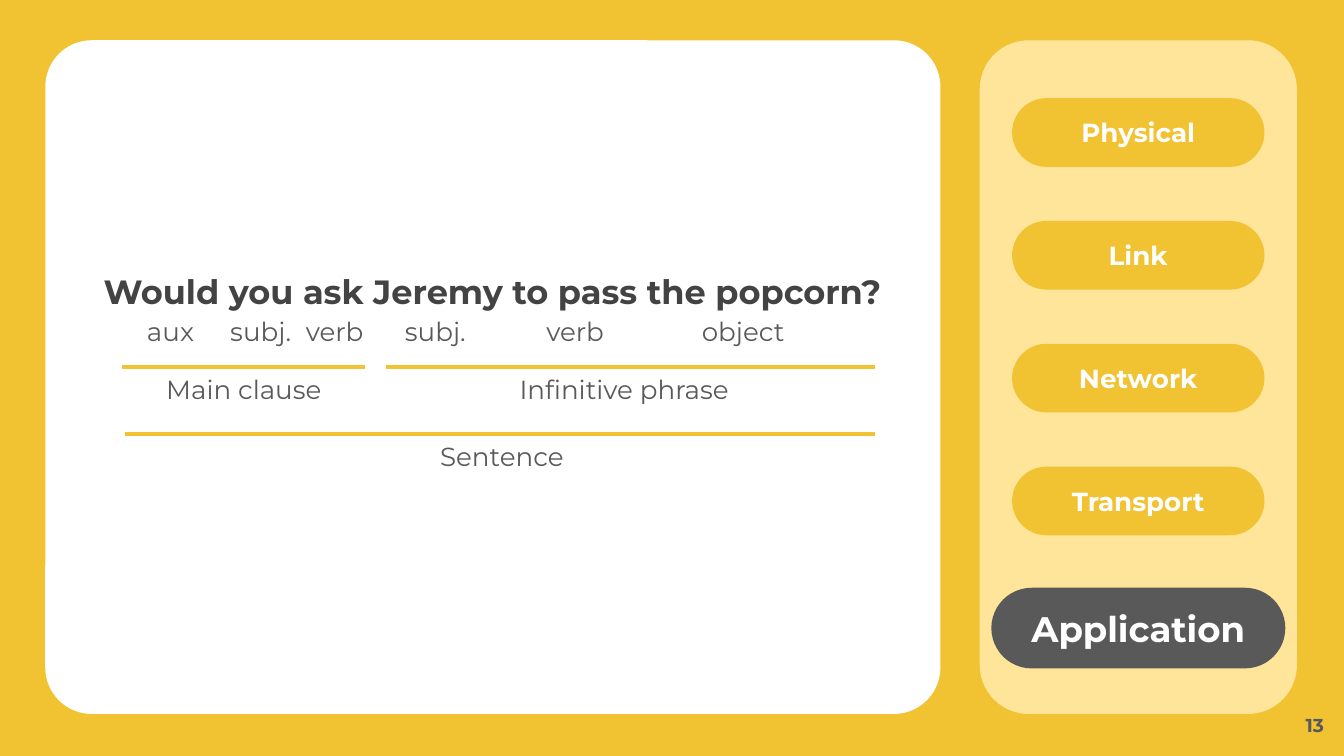
from lxml.etree import SubElement
from pptx import Presentation
from pptx.dml.color import RGBColor
from pptx.enum.shapes import MSO_CONNECTOR, MSO_SHAPE
from pptx.enum.text import MSO_ANCHOR, PP_ALIGN
from pptx.oxml.ns import qn
from pptx.util import Pt

COLORS = {
    "gold": "F1C232",
    "cream": "FFE599",
    "white": "FFFFFF",
    "gray": "595959",
    "dark": "434343",
}
FONT = "Montserrat"
INSET = 7.2
LAYERS = ["Physical", "Link", "Network", "Transport"]
WORD_ROLES = [
    ("aux", 91.4),
    ("subj.", 139.7),
    ("verb", 179.3),
    ("subj.", 233.3),
    ("verb", 308.2),
    ("object", 398.2),
]
PHRASES = [
    ("Main clause", 65.5, 195.8, 196.6, 130.7, 104.4),
    ("Infinitive phrase", 206.6, 468.7, 196.6, 334.4, 130.3),
    ("Sentence", 67, 468.7, 232.6, 268.9, 130.3),
]


def color(name):
    return RGBColor.from_string(COLORS[name])


def write_text(shape, text, size, color_name, bold=False,
               align=PP_ALIGN.CENTER, anchor=MSO_ANCHOR.MIDDLE):
    frame = shape.text_frame
    frame.text = text
    frame.word_wrap = True
    frame.vertical_anchor = anchor
    frame.margin_left = frame.margin_right = Pt(INSET)
    frame.margin_top = frame.margin_bottom = Pt(INSET)
    para = frame.paragraphs[0]
    para.alignment = align
    span = para.runs[0]
    span.font.name = FONT
    span.font.size = Pt(size)
    span.font.bold = bold
    span.font.color.rgb = color(color_name)


def add_rounded(page, left, top, width, height, fill, rounding=0.5):
    shape = page.shapes.add_shape(
        MSO_SHAPE.ROUNDED_RECTANGLE, Pt(left), Pt(top), Pt(width), Pt(height))
    shape.adjustments[0] = rounding
    shape.shadow.inherit = False
    shape.fill.solid()
    shape.fill.fore_color.rgb = color(fill)
    shape.line.fill.background()
    return shape


def add_text(page, left, top, width, height, text, size, color_name, **style):
    box = page.shapes.add_textbox(Pt(left), Pt(top), Pt(width), Pt(height))
    write_text(box, text, size, color_name, **style)


def add_label(page, text, center, top, width):
    add_text(page, center - width / 2, top, width, 25.2, text, 14, "gray")


def add_rule(page, start, end, top):
    rule = page.shapes.add_connector(
        MSO_CONNECTOR.STRAIGHT, Pt(start), Pt(top), Pt(end), Pt(top))
    rule.line.color.rgb = color("gold")
    rule.line.width = Pt(2.25)
    SubElement(rule.element.spPr, qn("a:effectLst"))


def add_sentence(page):
    add_text(page, 43.9, 138.2, 439.9, 36.7,
             "Would you ask Jeremy to pass the popcorn?", 18, "dark",
             bold=True, anchor=MSO_ANCHOR.TOP)
    for role, center in WORD_ROLES:
        add_label(page, role, center, 164.9, 60.5)
    for name, start, end, top, center, width in PHRASES:
        add_rule(page, start, end, top)
        add_label(page, name, center, top - 0.7, width)


def add_layers(page):
    for index, layer in enumerate(LAYERS):
        pill = add_rounded(page, 542.2, 52.6 + index * 65.8, 135.2, 36.8, "gold")
        write_text(pill, layer, 14, "white", bold=True)
    current = add_rounded(page, 531.1, 314.9, 157.5, 43.2, "gray")
    write_text(current, "Application", 19, "white", bold=True)


def main():
    deck = Presentation()
    deck.slide_width = Pt(720)
    deck.slide_height = Pt(405)
    page = deck.slides.add_slide(deck.slide_layouts[6])
    page.background.fill.solid()
    page.background.fill.fore_color.rgb = color("gold")
    add_text(page, 673.2, 373, 43.2, 31, "13", 10, "gray",
             bold=True, align=PP_ALIGN.RIGHT)
    add_rounded(page, 24.3, 21.6, 479.5, 360.9, "white", 0.069)
    add_rounded(page, 524.9, 21.6, 169.9, 360.9, "cream", 0.154)
    add_sentence(page)
    add_layers(page)
    deck.save("out.pptx")


if __name__ == "__main__":
    main()
